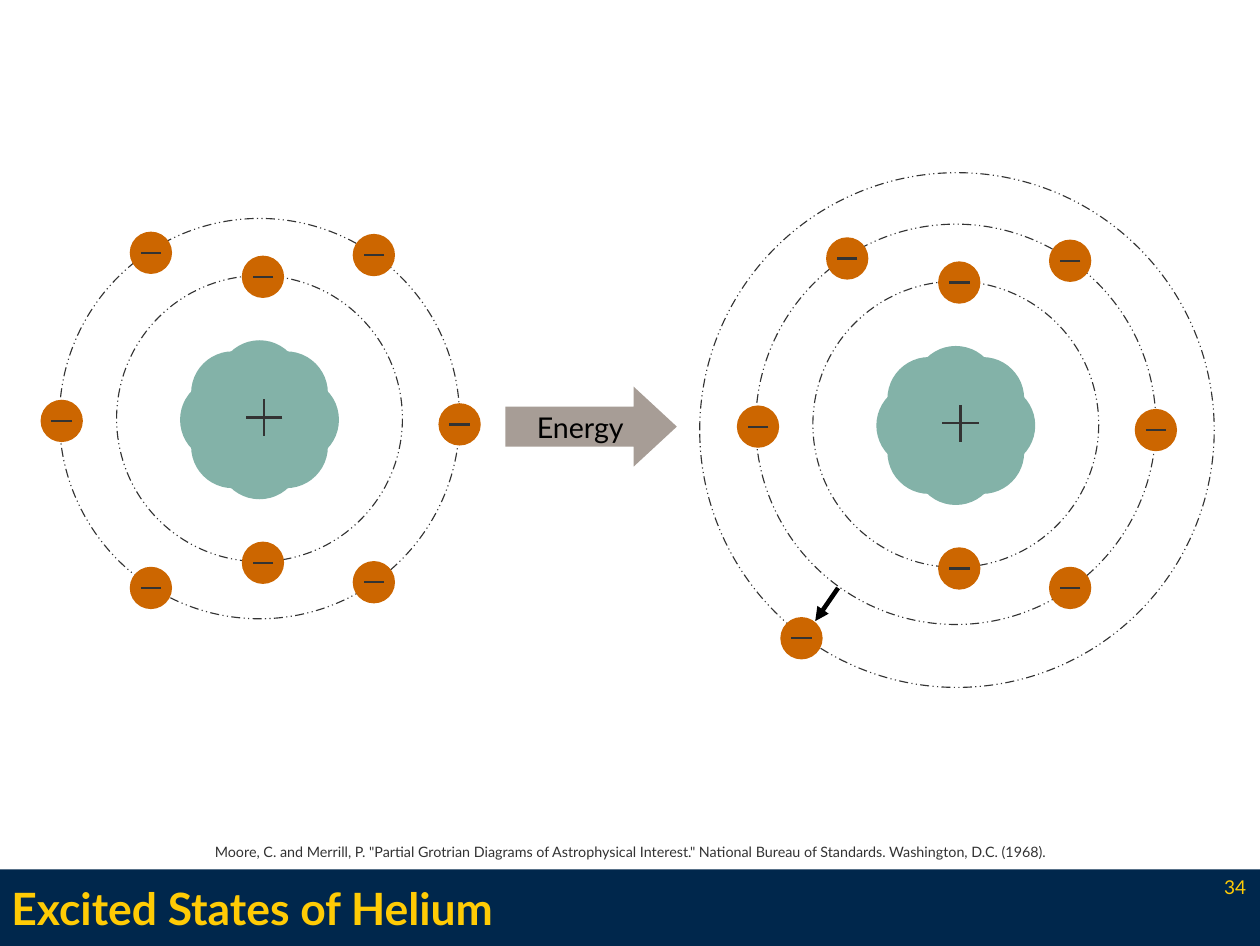
"""Build a slide comparing the ground and excited states of an atom."""
from dataclasses import dataclass
from math import cos, pi, sin

from lxml.etree import SubElement
from pptx import Presentation
from pptx.dml.color import RGBColor
from pptx.enum.dml import MSO_LINE
from pptx.enum.shapes import MSO_CONNECTOR, MSO_SHAPE
from pptx.enum.text import MSO_ANCHOR, PP_ALIGN
from pptx.oxml.ns import qn
from pptx.shapes.autoshape import Shape
from pptx.shapes.connector import Connector
from pptx.slide import Slide
from pptx.text.text import TextFrame
from pptx.util import Inches, Pt

NAVY = RGBColor(0x00, 0x27, 0x4C)
MAIZE = RGBColor(0xFF, 0xCB, 0x05)
DARK = RGBColor(0x33, 0x33, 0x33)
ORANGE = RGBColor(0xCC, 0x66, 0x00)
TEAL = RGBColor(0x83, 0xB2, 0xA8)
TAUPE = RGBColor(0xA7, 0x9D, 0x96)
BLACK = RGBColor(0, 0, 0)
FONT = "Lato"
WIDTH, HEIGHT = 11.02, 8.27

Point = tuple[float, float]
Box = tuple[float, float, float, float]


@dataclass(frozen=True)
class Atom:
    x: float
    y: float
    electrons: tuple[Point, ...]


@dataclass(frozen=True)
class Label:
    text: str
    box: Box
    size: float
    color: RGBColor
    align: PP_ALIGN
    anchor: MSO_ANCHOR
    bold: bool = False


SHARED_ELECTRONS = ((0.03, -1.24), (0.03, 1.26), (-0.95, -1.45), (1.0, -1.43),
                    (1.75, 0.05), (-1.73, 0.02), (1.0, 1.43))
ATOMS = (
    Atom(2.27, 3.66, SHARED_ELECTRONS + ((-0.95, 1.48),)),
    Atom(8.36, 3.71, SHARED_ELECTRONS + ((-1.35, 1.87),)),
)
LABELS = (
    Label("Excited States of Helium", (0.1, 7.6, 9.1, 0.67), 28, MAIZE,
          PP_ALIGN.LEFT, MSO_ANCHOR.MIDDLE, True),
    Label('Moore, C. and Merrill, P. "Partial Grotrian Diagrams of Astrophysical '
          'Interest." National Bureau of Standards. Washington, D.C. (1968).',
          (0, 7.3, WIDTH, 0.3), 9, DARK, PP_ALIGN.CENTER, MSO_ANCHOR.MIDDLE),
    Label("34", (9.58, 7.65, 1.32, 0.27), 12, MAIZE,
          PP_ALIGN.RIGHT, MSO_ANCHOR.TOP),
)


def add_filled(s: Slide, kind: MSO_SHAPE, box: Box, color: RGBColor) -> Shape:
    sp = s.shapes.add_shape(kind, *map(Inches, box))
    sp.shadow.inherit = False
    sp.fill.solid()
    sp.fill.fore_color.rgb = color
    sp.line.fill.background()
    return sp


def add_disc(s: Slide, x: float, y: float, d: float, color: RGBColor) -> None:
    add_filled(s, MSO_SHAPE.OVAL, (x - d / 2, y - d / 2, d, d), color)


def add_orbit(s: Slide, x: float, y: float, radius: float) -> None:
    box = (x - radius, y - radius, 2 * radius, 2 * radius)
    sp = s.shapes.add_shape(MSO_SHAPE.OVAL, *map(Inches, box))
    sp.shadow.inherit = False
    sp.fill.background()
    sp.line.color.rgb = DARK
    sp.line.width = Pt(0.71)
    sp.line.dash_style = MSO_LINE.DASH_DOT_DOT


def add_line(s: Slide, start: Point, end: Point, color: RGBColor = DARK,
             width: float = 1.45) -> Connector:
    line = s.shapes.add_connector(MSO_CONNECTOR.STRAIGHT, *map(Inches, start + end))
    line.line.color.rgb = color
    line.line.width = Pt(width)
    SubElement(line._element.spPr, qn("a:effectLst"))
    return line


def add_electron(s: Slide, x: float, y: float) -> None:
    add_disc(s, x, y, 0.37, ORANGE)
    add_line(s, (x + 0.09, y), (x - 0.09, y))


def add_nucleus(s: Slide, x: float, y: float) -> None:
    for i in range(8):
        angle = i * pi / 4
        add_disc(s, x + 0.33 * cos(angle), y + 0.33 * sin(angle), 0.73, TEAL)
    px, py, arm = x + 0.04, y - 0.02, 0.16
    add_line(s, (px, py - arm), (px, py + arm))
    add_line(s, (px + arm, py), (px - arm, py))


def add_atom(s: Slide, atom: Atom) -> None:
    for radius in (1.25, 1.75):
        add_orbit(s, atom.x, atom.y, radius)
    for dx, dy in atom.electrons:
        add_electron(s, atom.x + dx, atom.y + dy)
    add_nucleus(s, atom.x, atom.y + 0.01)


def write(tf: TextFrame, text: str, size: float, color: RGBColor,
          align: PP_ALIGN, bold: bool = False) -> None:
    p = tf.paragraphs[0]
    p.alignment = align
    r = p.add_run()
    r.text = text
    r.font.name = FONT
    r.font.size = Pt(size)
    r.font.bold = bold
    r.font.color.rgb = color


def add_label(s: Slide, label: Label) -> None:
    tf = s.shapes.add_textbox(*map(Inches, label.box)).text_frame
    tf.margin_left = tf.margin_right = tf.margin_top = tf.margin_bottom = 0
    tf.word_wrap = True
    tf.vertical_anchor = label.anchor
    write(tf, label.text, label.size, label.color, label.align, label.bold)


def add_energy_arrow(s: Slide) -> None:
    sp = add_filled(s, MSO_SHAPE.RIGHT_ARROW, (4.42, 3.38, 1.5, 0.7), TAUPE)
    sp.adjustments[1] = 0.54
    tf = sp.text_frame
    tf.word_wrap = False
    tf.vertical_anchor = MSO_ANCHOR.MIDDLE
    write(tf, "Energy", 18, BLACK, PP_ALIGN.CENTER)


def add_jump_arrow(s: Slide) -> None:
    arrow = add_line(s, (7.33, 5.14), (7.13, 5.43), BLACK, 2.89)
    ln = arrow._element.spPr.find(qn("a:ln"))
    SubElement(ln, qn("a:tailEnd"), type="triangle")


def main() -> None:
    prs = Presentation()
    prs.slide_width, prs.slide_height = Inches(WIDTH), Inches(HEIGHT)
    s = prs.slides.add_slide(prs.slide_layouts[6])
    add_filled(s, MSO_SHAPE.RECTANGLE, (0, 7.6, WIDTH, 0.67), NAVY)
    add_orbit(s, 8.37, 3.76, 2.25)
    for atom in ATOMS:
        add_atom(s, atom)
    add_jump_arrow(s)
    add_energy_arrow(s)
    for label in LABELS:
        add_label(s, label)
    prs.save("out.pptx")


if __name__ == "__main__":
    main()
